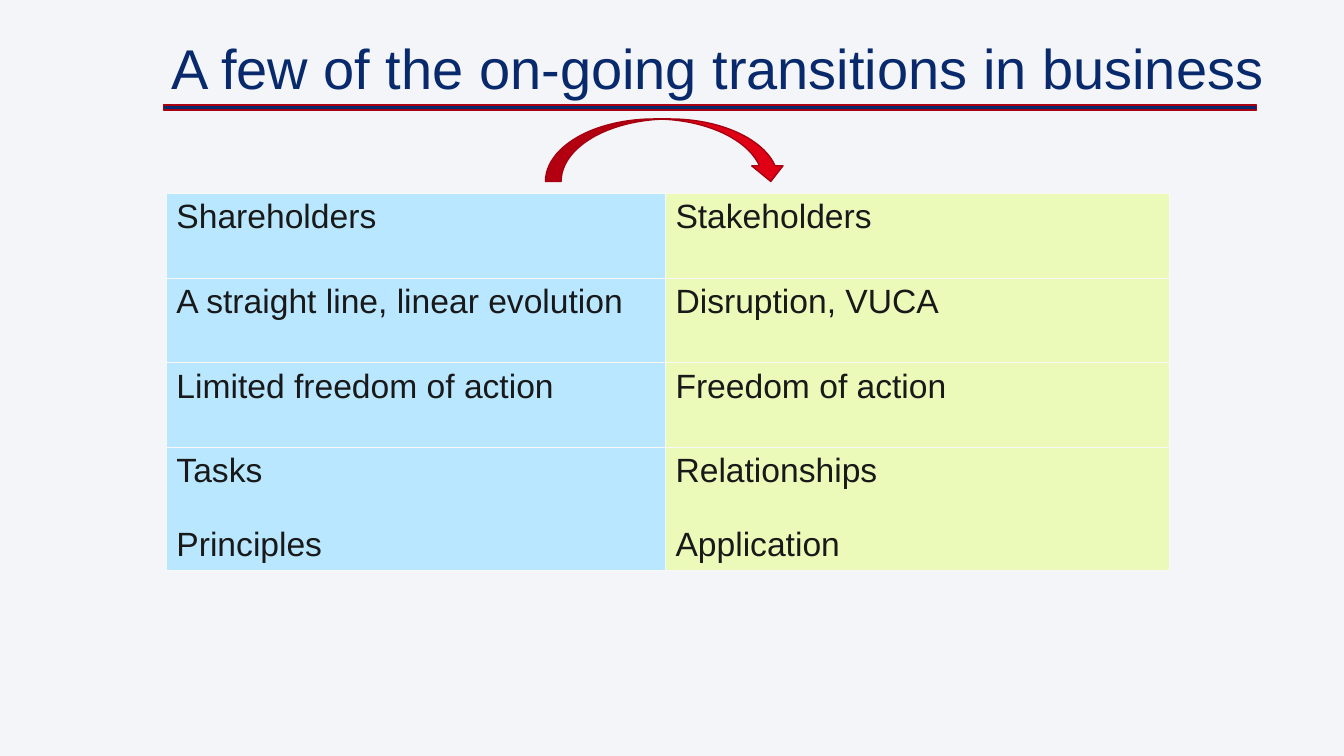
"""Build the slide on transitions in business."""
import lxml.etree
import pptx
import pptx.dml.color
import pptx.enum.shapes
import pptx.enum.text
import pptx.oxml.ns
import pptx.util

Inches = pptx.util.Inches
Pt = pptx.util.Pt
Shape = pptx.enum.shapes.MSO_SHAPE
Text = pptx.enum.text


def color(code):
    return pptx.dml.color.RGBColor.from_string(code)


def apply(target, values):
    for name, value in values.items():
        setattr(target, name, value)


class Deck:
    navy, ink, edge = "08296C", "191919", "F8F8F8"
    fills = "B8E7FF", "EBF9B9"

    def __init__(self):
        self.file = pptx.Presentation()
        apply(self.file, {"slide_width": Inches(13.33), "slide_height": Inches(7.5)})
        self.slide = self.file.slides.add_slide(self.file.slide_layouts[5])
        self.paint(self.slide.background.fill, "F3F5F8")

    def paint(self, fill, code):
        fill.solid()
        fill.fore_color.rgb = color(code)

    def font(self, para, size, code):
        apply(para.font, {"name": "Arial", "size": Pt(size), "bold": False})
        para.font.color.rgb = color(code)

    def title(self, text, left, top, width, height):
        box = self.slide.shapes.title
        apply(box, {"left": Inches(left), "top": Inches(top),
                    "width": Inches(width), "height": Inches(height)})
        frame = box.text_frame
        frame.text = text
        apply(frame, {"word_wrap": True, "auto_size": Text.MSO_AUTO_SIZE.NONE,
                      "vertical_anchor": Text.MSO_ANCHOR.MIDDLE})
        para = frame.paragraphs[0]
        apply(para, {"alignment": Text.PP_ALIGN.LEFT, "line_spacing": 0.9})
        self.font(para, 40, self.navy)

    def shape(self, kind, left, top, width, height, fill, line):
        item = self.slide.shapes.add_shape(
            kind, Inches(left), Inches(top), Inches(width), Inches(height))
        item.shadow.inherit = False
        self.paint(item.fill, fill)
        item.line.color.rgb = color(line)
        item.line.width = Pt(1)

    def border(self, cell):
        name = pptx.oxml.ns.qn
        props = cell._tc.get_or_add_tcPr()
        for side in "LRTB":
            line = lxml.etree.SubElement(props, name(f"a:ln{side}"), w=str(Pt(1)))
            solid = lxml.etree.SubElement(line, name("a:solidFill"))
            lxml.etree.SubElement(solid, name("a:srgbClr"), val=self.edge)

    def cell(self, cell, text, fill):
        self.border(cell)
        self.paint(cell.fill, fill)
        cell.text_frame.text = text
        for index, para in enumerate(cell.text_frame.paragraphs):
            para.space_before = Pt(26 * index)
            self.font(para, 24, self.ink)

    def table(self, rows, left, top, widths, heights):
        grid = self.slide.shapes.add_table(
            len(rows), len(widths), Inches(left), Inches(top),
            Inches(sum(widths)), Inches(sum(heights))).table
        apply(grid, {"first_row": False, "horz_banding": False})
        for column, width in zip(grid.columns, widths):
            column.width = Inches(width)
        for row, height, texts in zip(grid.rows, heights, rows):
            row.height = Inches(height)
            for cell, text, fill in zip(row.cells, texts, self.fills):
                self.cell(cell, text, fill)


def main():
    deck = Deck()
    deck.shape(Shape.RECTANGLE, 1.62, 1.04, 10.84, 0.05, deck.navy, "A80010")
    deck.title("A few of the on-going transitions in business", 1.6, -0.05, 11.15, 1.51)
    rows = [
        ("Shareholders", "Stakeholders"),
        ("A straight line, linear evolution", "Disruption, VUCA"),
        ("Limited freedom of action", "Freedom of action"),
        ("Tasks\nPrinciples", "Relationships\nApplication"),
    ]
    deck.table(rows, 1.65, 1.92, (4.95, 5), (0.84, 0.84, 0.84, 1.22))
    deck.shape(Shape.CURVED_DOWN_ARROW, 5.41, 1.18, 2.39, 0.62, "E00016", "A60010")
    deck.file.save("out.pptx")


if __name__ == "__main__":
    main()
